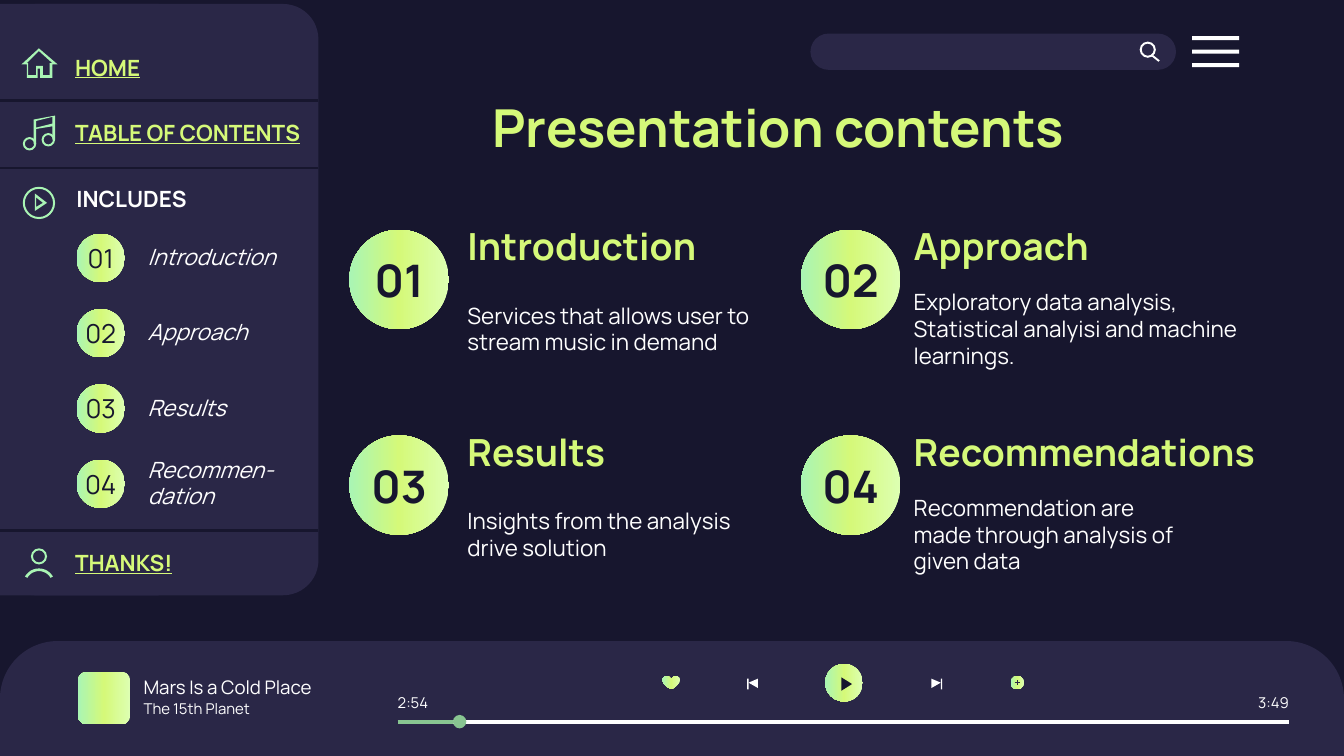
from copy import deepcopy
from dataclasses import dataclass
from math import cos, radians, sin

from pptx import Presentation
from pptx.dml.color import RGBColor
from pptx.enum.shapes import MSO_CONNECTOR, MSO_SHAPE
from pptx.enum.text import MSO_ANCHOR, PP_ALIGN
from pptx.oxml.ns import qn
from pptx.util import Inches, Pt
from lxml.etree import SubElement


@dataclass(frozen=True)
class Theme:
    """Colours, font and type sizes of the deck."""
    night: str = "17162E"
    panel: str = "2A2747"
    lime: str = "D5F979"
    mint: str = "A9F5B4"
    played: str = "88C591"
    white: str = "FFFFFF"
    gradient: tuple = ("DDFFB2", "D5F979", "A9F5B4")
    font: str = "Manrope"
    title: int = 28
    number: int = 24
    heading: int = 20
    badge: int = 14
    body: int = 12
    song: int = 10
    small: int = 8


THEME = Theme()
TOPICS = [
    ("Introduction", "Services that allows user to stream music in demand", 2.57),
    ("Approach", "Exploratory data analysis, Statistical analyisi and machine learnings.", 2.89),
    ("Results", "Insights from the analysis drive solution", 2.28),
    ("Recommendations", "Recommendation are made through analysis of given data", 2.28),
]
CHAPTERS = ["Introduction", "Approach", "Results", "Recommen-dation"]


def paint(shape, color):
    """Fill a shape with one colour, or with the theme gradient when color is None."""
    shape.shadow.inherit = False
    shape.line.fill.background()
    if color:
        shape.fill.solid()
        shape.fill.fore_color.rgb = RGBColor.from_string(color)
        return shape
    shape.fill.gradient()
    shape.fill.gradient_angle = 180
    stops = shape._element.spPr.find(".//" + qn("a:gsLst"))
    stops.append(deepcopy(stops[0]))
    for index, stop in enumerate(shape.fill.gradient_stops):
        stop.color.rgb = RGBColor.from_string(THEME.gradient[index])
        stop.position = index / 2
    return shape


def add_block(page, kind, left, top, width, height, color=None, adjustments=()):
    """Add a borderless preset shape."""
    shape = page.shapes.add_shape(kind, Inches(left), Inches(top), Inches(width), Inches(height))
    for index, value in enumerate(adjustments):
        shape.adjustments[index] = value
    return paint(shape, color)


def add_disc(page, x, y, radius, color=None):
    """Add a filled circle around a centre."""
    return add_block(page, MSO_SHAPE.OVAL, x - radius, y - radius, 2 * radius, 2 * radius, color)


def add_ring(page, x, y, radius, color):
    """Add a thin ring around a centre."""
    return add_block(page, MSO_SHAPE.DONUT, x - radius, y - radius, 2 * radius, 2 * radius,
                     color, [0.015 / (2 * radius)])


def add_outline(page, color, *contours):
    """Add one filled polygon made of closed contours."""
    builder = None
    for contour in contours:
        points = [(Inches(x), Inches(y)) for x, y in contour]
        if builder is None:
            builder = page.shapes.build_freeform(*points[0])
        else:
            builder.move_to(*points[0])
        builder.add_line_segments(points[1:], close=True)
    return paint(builder.convert_to_shape(), color)


def add_line(page, start, end, color, weight):
    """Add a straight line between two points."""
    line = page.shapes.add_connector(MSO_CONNECTOR.STRAIGHT, *map(Inches, start + end))
    line.line.color.rgb = RGBColor.from_string(color)
    line.line.width = Pt(weight)
    SubElement(line._element.spPr, qn("a:effectLst"))


def write(shape, text, size, color, align=PP_ALIGN.LEFT, inset=0.1, **style):
    """Write one vertically centred paragraph into a shape."""
    frame = shape.text_frame
    frame.word_wrap = True
    frame.vertical_anchor = MSO_ANCHOR.MIDDLE
    frame.margin_left = frame.margin_right = Inches(inset)
    frame.margin_top = frame.margin_bottom = Inches(0.1)
    para = frame.paragraphs[0]
    para.text = text
    para.alignment = align
    para.font.name = THEME.font
    para.font.size = Pt(size)
    para.font.color.rgb = RGBColor.from_string(color)
    for name, value in style.items():
        setattr(para.font, name, value)


def add_label(page, left, top, width, height, *text, **style):
    """Add a text box."""
    box = page.shapes.add_textbox(Inches(left), Inches(top), Inches(width), Inches(height))
    write(box, *text, **style)


def add_search_bar(page):
    """Add the search field with its magnifier and the menu bars."""
    add_block(page, MSO_SHAPE.ROUNDED_RECTANGLE, 6.03, 0.25, 2.72, 0.27, THEME.panel, [0.5])
    for row in range(3):
        add_block(page, MSO_SHAPE.RECTANGLE, 8.87, 0.27 + 0.1 * row, 0.35, 0.03, THEME.white)
    add_ring(page, 8.54, 0.37, 0.06, THEME.white)
    add_outline(page, THEME.white, [(8.58, 0.41), (8.57, 0.42), (8.62, 0.46), (8.63, 0.45)])


def add_player(page):
    """Add the music player along the bottom edge."""
    add_block(page, MSO_SHAPE.ROUND_2_SAME_RECTANGLE, 0, 4.77, 10, 0.86, THEME.panel, [0.5, 0])
    add_block(page, MSO_SHAPE.ROUNDED_RECTANGLE, 0.58, 5, 0.39, 0.39, None, [0.167])
    add_label(page, 0.97, 5.03, 1.91, 0.17, "Mars Is a Cold Place", THEME.song, THEME.white)
    add_label(page, 0.97, 5.19, 1.15, 0.17, "The 15th Planet", THEME.small, THEME.white)
    add_label(page, 2.96, 5.14, 0.27, 0.17, "2:54", THEME.small, THEME.white, inset=0)
    add_label(page, 9.32, 5.14, 0.27, 0.17, "3:49", THEME.small, THEME.white,
              PP_ALIGN.RIGHT, inset=0)
    add_block(page, MSO_SHAPE.HEART, 4.93, 5.03, 0.13, 0.1)
    add_disc(page, 7.57, 5.08, 0.05)
    add_line(page, (7.57, 5.06), (7.57, 5.1), THEME.panel, 0.75)
    add_line(page, (7.55, 5.08), (7.59, 5.08), THEME.panel, 0.75)
    add_disc(page, 6.28, 5.08, 0.14)
    add_outline(page, THEME.night, [(6.26, 5.04), (6.26, 5.14), (6.34, 5.09)])
    for bar, base, tip in ((5.56, 5.64, 5.57), (7, 6.93, 7)):
        add_block(page, MSO_SHAPE.RECTANGLE, bar, 5.05, 0.01, 0.08, THEME.white)
        add_outline(page, THEME.white, [(base, 5.05), (tip, 5.08), (base, 5.12)])
    add_line(page, (2.96, 5.37), (9.59, 5.37), THEME.white, 2.25)
    add_disc(page, 3.42, 5.37, 0.05, THEME.played)
    add_line(page, (2.96, 5.37), (3.37, 5.37), THEME.played, 2.25)


def add_icons(page):
    """Add the home, music, play and person icons of the sidebar."""
    mint = THEME.mint
    add_outline(page, mint,
                [(0.29, 0.36), (0.16, 0.48), (0.2, 0.48), (0.2, 0.58), (0.28, 0.58), (0.28, 0.51),
                 (0.3, 0.51), (0.3, 0.58), (0.39, 0.58), (0.39, 0.48), (0.43, 0.48)],
                [(0.29, 0.38), (0.39, 0.47), (0.37, 0.47), (0.37, 0.56), (0.32, 0.56), (0.32, 0.49),
                 (0.27, 0.49), (0.27, 0.56), (0.21, 0.56), (0.21, 0.47), (0.2, 0.47)])
    add_outline(page, mint,
                [(0.25, 0.89), (0.41, 0.86), (0.41, 1.04), (0.39, 1.04), (0.39, 0.94),
                 (0.27, 0.96), (0.27, 1.07), (0.25, 1.07)],
                [(0.39, 0.87), (0.39, 0.92), (0.27, 0.95), (0.27, 0.9)])
    for x, y, radius in ((0.22, 1.07, 0.05), (0.36, 1.04, 0.05), (0.29, 1.51, 0.12), (0.29, 4.14, 0.06)):
        add_ring(page, x, y, radius, mint)
    add_outline(page, mint, [(0.26, 1.44), (0.26, 1.57), (0.35, 1.51)],
                [(0.27, 1.47), (0.32, 1.51), (0.27, 1.54)])
    outer, inner = ([(0.29 + radius * cos(radians(angle)), 4.35 - radius * sin(radians(angle)))
                     for angle in range(30, 151, 10)] for radius in (0.12, 0.1))
    add_outline(page, mint, outer + inner[::-1])


def add_sidebar(page):
    """Add the navigation panel with its links and chapter list."""
    add_block(page, MSO_SHAPE.RECTANGLE, 0, 0.03, 1.18, 4.4, THEME.panel)
    add_block(page, MSO_SHAPE.ROUNDED_RECTANGLE, 0, 0.03, 2.37, 4.4, THEME.panel, [0.111])
    for y in (0.75, 1.25, 3.95):
        add_line(page, (2.37, y), (0, y), THEME.night, 1.5)
    for top, text in ((0.32, "HOME"), (0.81, "TABLE OF CONTENTS"), (4.01, "THANKS!")):
        add_label(page, 0.46, top, 2.08, 0.36, text, THEME.body, THEME.lime,
                  bold=True, underline=True)
    add_label(page, 0.47, 1.3, 1.3, 0.36, "INCLUDES", THEME.body, THEME.white, bold=True)
    for index, chapter in enumerate(CHAPTERS):
        y = 1.92 + 0.56 * index
        badge = add_disc(page, 0.75, y, 0.18)
        write(badge, f"{index + 1:02}", THEME.badge, THEME.night, PP_ALIGN.CENTER, inset=0)
        add_label(page, 1, y - 0.27, 1.21, 0.52, chapter, THEME.body, THEME.white, italic=True)
    add_icons(page)


def add_topics(page):
    """Add the two by two grid of numbered topics."""
    for index, (heading, body, width) in enumerate(TOPICS):
        row, column = divmod(index, 2)
        top = 1.54 + 1.53 * row
        left = (3.38, 6.7)[column]
        circle = add_disc(page, 2.97 + 3.36 * column, top + 0.54, 0.37)
        write(circle, f"{index + 1:02}", THEME.number, THEME.night, PP_ALIGN.CENTER,
              inset=0, bold=True)
        add_label(page, left, top, 3, 0.58, heading, THEME.heading, THEME.lime, bold=True)
        add_label(page, left, top + 0.64, width, 0.53, body, THEME.body, THEME.white)


def main():
    """Build the contents slide and save the deck."""
    deck = Presentation()
    deck.slide_width = Inches(10)
    deck.slide_height = deck.slide_width * 9 // 16
    page = deck.slides.add_slide(deck.slide_layouts[6])
    page.background.fill.solid()
    page.background.fill.fore_color.rgb = RGBColor.from_string(THEME.night)
    add_search_bar(page)
    add_player(page)
    add_topics(page)
    add_sidebar(page)
    add_label(page, 2.61, 0.63, 6.36, 0.63, "Presentation contents", THEME.title, THEME.lime,
              PP_ALIGN.CENTER, bold=True)
    deck.save("out.pptx")


if __name__ == "__main__":
    main()
